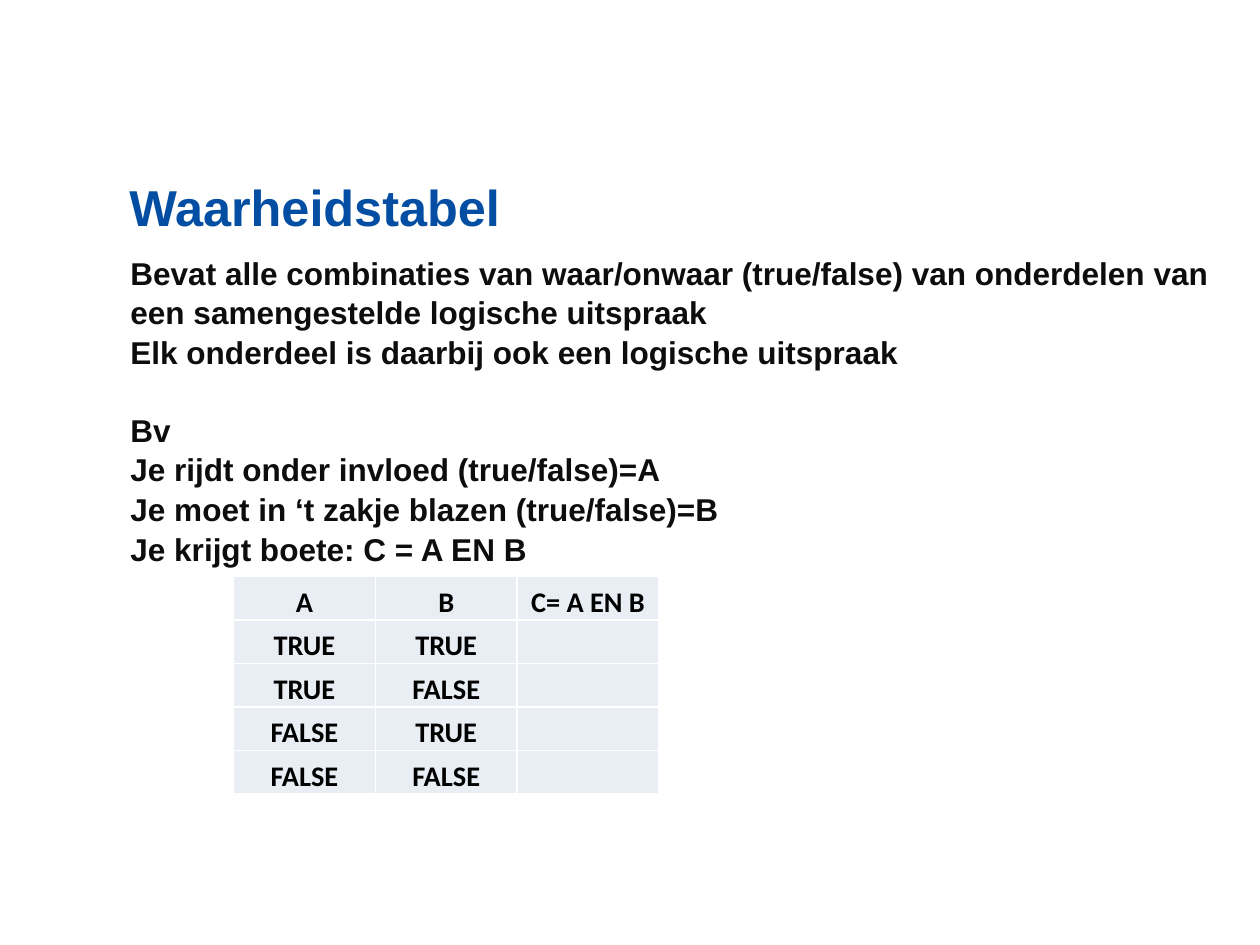
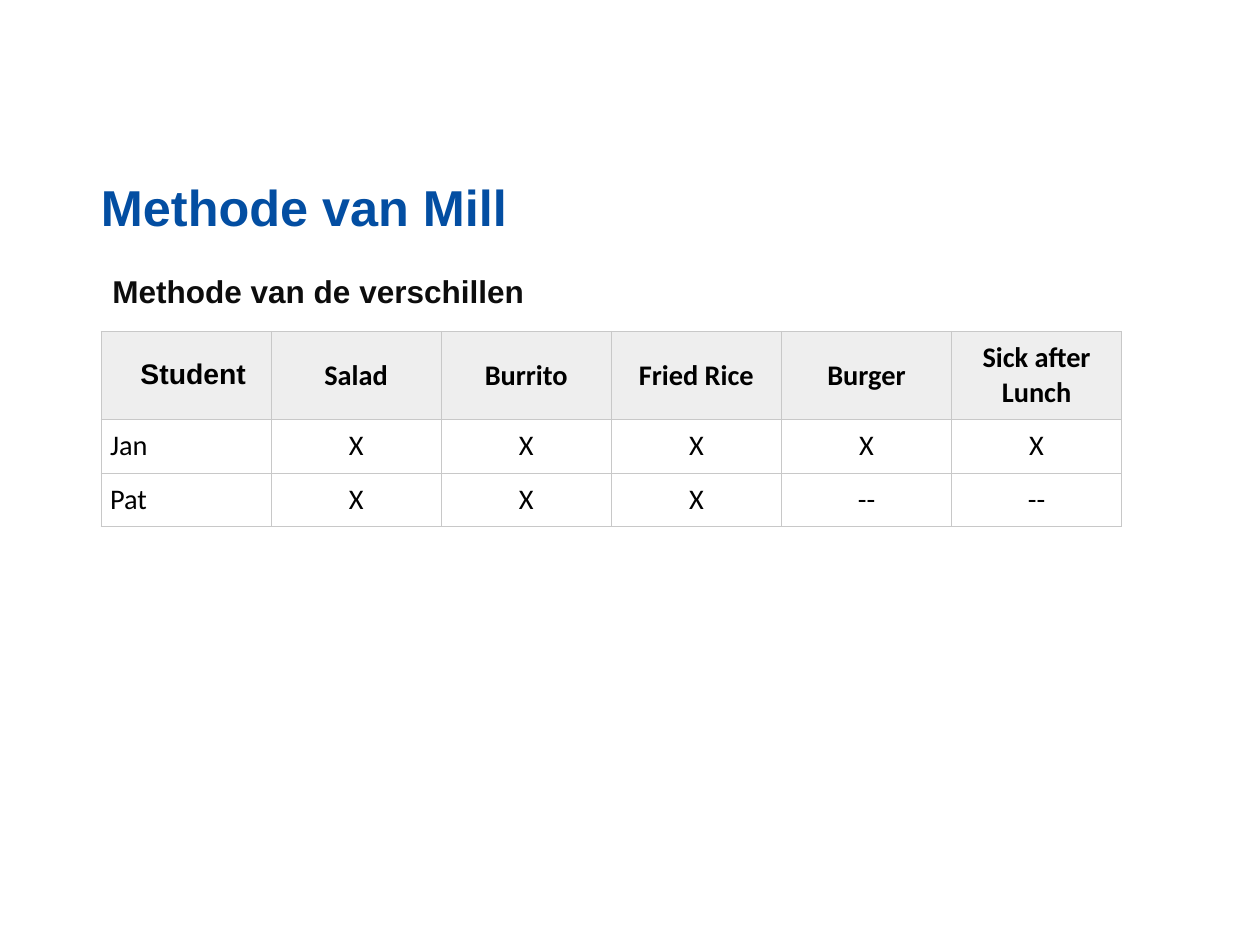
from pptx import Presentation
from pptx.dml.color import RGBColor
from pptx.enum.text import MSO_ANCHOR, MSO_AUTO_SIZE, PP_ALIGN
from pptx.oxml import parse_xml
from pptx.oxml.ns import nsdecls
from pptx.util import Inches, Pt

BLUE = RGBColor(0x03, 0x4E, 0xA2)
INK = RGBColor(0x0D, 0x0D, 0x0D)
BLACK = RGBColor(0, 0, 0)
WHITE = RGBColor(0xFF, 0xFF, 0xFF)
PALE_BLUE = RGBColor(0xE9, 0xED, 0xF4)
PALE_GREY = RGBColor(0xEE, 0xEE, 0xEE)
RULE_GREY = RGBColor(0xC8, 0xC8, 0xC8)

TITLE_STYLE = dict(size=32, color=BLUE, bold=True, anchor=MSO_ANCHOR.TOP,
                   margins=(0, 0.05, 0, 0))
BODY_STYLE = dict(size=20, color=INK, bold=True, anchor=MSO_ANCHOR.TOP,
                  spacing=1.05, margins=(0.1, 0.05, 0.1, 0.05))


def write(frame, lines, size=18, color=BLACK, bold=False, font="Arial",
          align=PP_ALIGN.LEFT, anchor=MSO_ANCHOR.MIDDLE, spacing=1.0,
          margins=(0.1, 0.05, 0.1, 0.05), wrap=True):
    """Fill a text frame with unbulleted paragraphs in one format."""
    frame.auto_size = MSO_AUTO_SIZE.NONE
    frame.word_wrap = wrap
    frame.vertical_anchor = anchor
    (frame.margin_left, frame.margin_top,
     frame.margin_right, frame.margin_bottom) = map(Inches, margins)
    frame.text = "\n".join(lines)
    for paragraph in frame.paragraphs:
        paragraph.alignment = align
        paragraph.line_spacing = spacing
        paragraph.space_before = Pt(0)
        properties = paragraph._p.get_or_add_pPr()
        properties.set("marL", "0")
        properties.set("indent", "0")
        properties.append(parse_xml(f"<a:buNone {nsdecls('a')}/>"))
        for run in paragraph.runs:
            run.font.size, run.font.bold, run.font.name = Pt(size), bold, font
            run.font.color.rgb = color


def draw_table(slide, rows, left, top, column_width, heights, rule, rule_width,
               fills, header_anchor, anchor, margins, bold_rows):
    """Add a ruled table; fills and heights hold one value per row."""
    table = slide.shapes.add_table(
        len(rows), len(rows[0]), Inches(left), Inches(top),
        Inches(column_width * len(rows[0])), Inches(sum(heights))).table
    table.first_row = table.horz_banding = False
    for column in table.columns:
        column.width = Inches(column_width)
    for r, values in enumerate(rows):
        table.rows[r].height = Inches(heights[r])
        for c, value in enumerate(values):
            cell = table.cell(r, c)
            for side in ("lnL", "lnR", "lnT", "lnB"):
                cell._tc.get_or_add_tcPr().append(parse_xml(
                    f'<a:{side} {nsdecls("a")} w="{Pt(rule_width)}"><a:solidFill>'
                    f'<a:srgbClr val="{rule}"/></a:solidFill></a:{side}>'))
            cell.fill.solid()
            cell.fill.fore_color.rgb = fills[r]
            (cell.margin_left, cell.margin_top,
             cell.margin_right, cell.margin_bottom) = map(Inches, margins)
            cell.vertical_anchor = anchor if r else header_anchor
            paragraph = cell.text_frame.paragraphs[0]
            is_name = value in ("Jan", "Pat")
            paragraph.alignment = PP_ALIGN.LEFT if is_name else PP_ALIGN.CENTER
            if value:
                run = paragraph.add_run()
                run.text = value
                run.font.size, run.font.name = Pt(18), "Calibri"
                run.font.bold = r < bold_rows
                run.font.color.rgb = BLACK


deck = Presentation()
deck.slide_width, deck.slide_height = Inches(11.11), Inches(8.33)

pages = [
    ("Waarheidstabel", (1.14, 1.5, 9.5, 0.5), (1.05, 2.17, 10.06, 5.42),
     ["Bevat alle combinaties van waar/onwaar (true/false) van onderdelen van "
      "een samengestelde logische uitspraak",
      "Elk onderdeel is daarbij ook een logische uitspraak",
      "Bv",
      "Je rijdt onder invloed (true/false)=A",
      "Je moet in ‘t zakje blazen (true/false)=B",
      "Je krijgt boete: C = A EN B"]),
    ("Methode van Mill", (0.89, 1.5, 9.75, 0.5), (0.89, 2.33, 9.75, 4.75),
     ["Methode van de verschillen"]),
]
for heading, title_box, body_box, lines in pages:
    slide = deck.slides.add_slide(deck.slide_layouts[1])
    title, body = slide.placeholders
    for part, box in ((title, title_box), (body, body_box)):
        part.left, part.top, part.width, part.height = map(Inches, box)
    write(title.text_frame, [heading], **TITLE_STYLE)
    write(body.text_frame, lines, **BODY_STYLE)

truth_slide, mill_slide = deck.slides

# The example starts one line below the definition
example = truth_slide.placeholders[1].text_frame.paragraphs[2]
example.space_before = Pt(24)

truth_rows = [("A", "B", "C= A EN B")] + [
    (a, b, "") for a in ("TRUE", "FALSE") for b in ("TRUE", "FALSE")]
draw_table(truth_slide, truth_rows, 2.06, 5.08, 1.25, [1.92 / 5] * 5,
           rule=WHITE, rule_width=1, fills=[PALE_BLUE] * 5,
           header_anchor=MSO_ANCHOR.BOTTOM, anchor=MSO_ANCHOR.BOTTOM,
           margins=(0.01, 0.01, 0.01, 0), bold_rows=5)

lunch_rows = [("", "Salad", "Burrito", "Fried Rice", "Burger", "Sick after Lunch"),
              ("Jan", "X", "X", "X", "X", "X"),
              ("Pat", "X", "X", "X", "--", "--")]
draw_table(mill_slide, lunch_rows, 0.89, 2.92, 1.5, [0.78, 0.47, 0.47],
           rule=RULE_GREY, rule_width=0.6, fills=[PALE_GREY, WHITE, WHITE],
           header_anchor=MSO_ANCHOR.MIDDLE, anchor=MSO_ANCHOR.TOP,
           margins=(0.08,) * 4, bold_rows=1)

student = mill_slide.shapes.add_textbox(*map(Inches, (1.14, 3.09, 1.14, 0.4)))
write(student.text_frame, ["Student"], bold=True, wrap=False)

deck.save("out.pptx")
